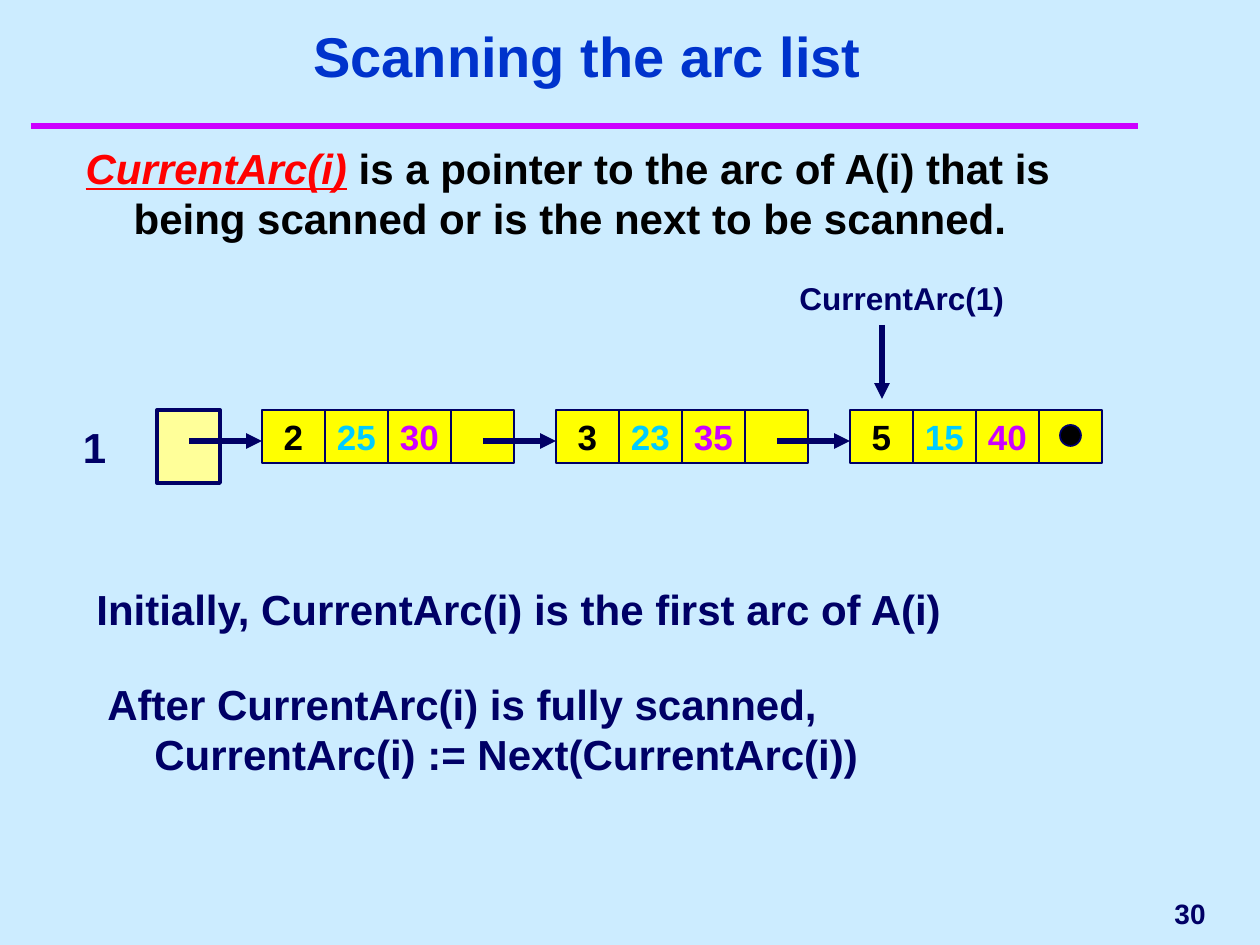
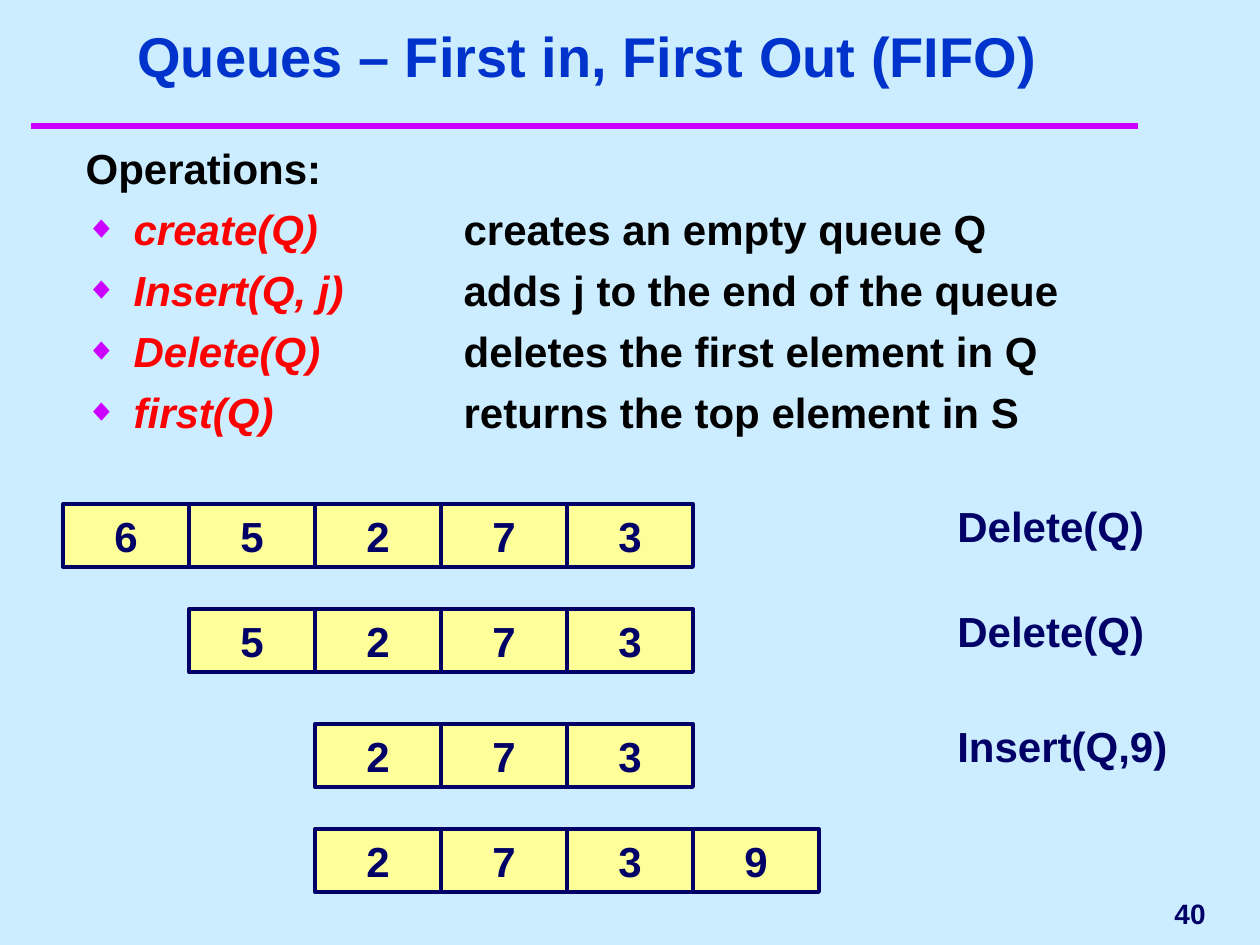
from dataclasses import dataclass

from lxml import etree
from pptx import Presentation
from pptx.dml.color import RGBColor
from pptx.enum.shapes import MSO_CONNECTOR, MSO_SHAPE
from pptx.enum.text import MSO_ANCHOR, MSO_AUTO_SIZE, PP_ALIGN
from pptx.oxml.ns import qn
from pptx.util import Emu, Pt

LEFT, CENTER, RIGHT = PP_ALIGN.LEFT, PP_ALIGN.CENTER, PP_ALIGN.RIGHT
TOP, MIDDLE, BOTTOM = MSO_ANCHOR.TOP, MSO_ANCHOR.MIDDLE, MSO_ANCHOR.BOTTOM
RECTANGLE, OVAL = MSO_SHAPE.RECTANGLE, MSO_SHAPE.OVAL
STRAIGHT, NO_AUTOFIT = MSO_CONNECTOR.STRAIGHT, MSO_AUTO_SIZE.NONE


@dataclass(frozen=True)
class Theme:
    font: str = "Arial"
    background: str = "CCECFF"
    title: str = "0033CC"
    accent: str = "CC00FF"
    ink: str = "000066"
    black: str = "000000"
    keyword: str = "FF0000"
    capacity: str = "00CCFF"
    node: str = "FFFF00"
    cell: str = "FFFF99"
    title_size: int = 32
    text_size: int = 24
    node_size: int = 20
    label_size: int = 18
    number_size: int = 16


THEME = Theme()
EMU_PER_PX = 914400 / 126
HANGING = 48
DESCRIPTION_TAB = 378

ARC_SLIDE = {
    "title": "Scanning the arc list",
    "number": "30",
    "keyword": "CurrentArc(i)",
    "definition": " is a pointer to the arc of A(i) that is being scanned or is the next to be scanned.",
    "node": "1",
    "arcs": [("2", "25", "30"), ("3", "23", "35"), ("5", "15", "40")],
    "pointer": "CurrentArc(1)",
    "start": "Initially, CurrentArc(i) is the first arc of A(i)",
    "advance": ["After CurrentArc(i) is fully scanned,", "CurrentArc(i) := Next(CurrentArc(i))"],
}
QUEUE_SLIDE = {
    "title": "Queues – First in, First Out (FIFO)",
    "number": "40",
    "heading": "Operations:",
    "operations": [
        ("create(Q)", "creates an empty queue Q"),
        ("Insert(Q, j)", "adds j to the end of the queue"),
        ("Delete(Q)", "deletes the first element in Q"),
        ("first(Q)", "returns the top element in S"),
    ],
    "states": [
        (504, 0, "65273", "Delete(Q)"),
        (609, 1, "5273", "Delete(Q)"),
        (724, 2, "273", "Insert(Q,9)"),
        (829, 2, "2739", None),
    ],
}


def px(value):
    return Emu(round(value * EMU_PER_PX))


def color(value):
    return RGBColor.from_string(value)


def style(paragraph, size, ink, align=LEFT):
    paragraph.alignment = align
    font = paragraph.font
    font.name, font.size, font.bold = THEME.font, Pt(size), True
    font.color.rgb = color(ink)


def add_run(paragraph, text, ink, italic=False, underline=False):
    run = paragraph.add_run()
    run.text = text
    run.font.color.rgb = color(ink)
    run.font.italic, run.font.underline = italic, underline


def set_frame(shape, anchor=TOP, wrap=True):
    frame = shape.text_frame
    frame.auto_size = NO_AUTOFIT
    frame.word_wrap, frame.vertical_anchor = wrap, anchor
    return frame


def place(shape, left, top, width, height):
    shape.left, shape.top, shape.width, shape.height = map(px, (left, top, width, height))


def set_list_format(paragraph, bullet=None, tab=None):
    properties = paragraph._p.get_or_add_pPr()
    properties.set("marL", str(px(HANGING)))
    properties.set("indent", str(-px(HANGING)))

    def add(parent, tag, **attributes):
        return etree.SubElement(parent, qn(tag), attributes)

    if bullet:
        add(add(properties, "a:buClr"), "a:srgbClr", val=THEME.accent)
        add(properties, "a:buSzPct", val="75000")
        add(properties, "a:buFont", typeface=THEME.font)
        add(properties, "a:buChar", char=bullet)
    else:
        add(properties, "a:buNone")
    if tab:
        add(add(properties, "a:tabLst"), "a:tab", pos=str(px(tab)), algn="l")
    paragraph.space_before = Pt(6 if bullet else 0)


def add_text(slide, box, text, size=THEME.text_size, align=LEFT, anchor=TOP, wrap=True):
    shape = slide.shapes.add_textbox(*map(px, box))
    frame = set_frame(shape, anchor, wrap)
    frame.text = text
    for paragraph in frame.paragraphs:
        style(paragraph, size, THEME.ink, align)
    return frame


def add_box(slide, box, fill, line_width, text="", ink=THEME.ink, size=THEME.text_size, kind=RECTANGLE):
    shape = slide.shapes.add_shape(kind, *map(px, box))
    shape.shadow.inherit = False
    shape.fill.solid()
    shape.fill.fore_color.rgb = color(fill)
    shape.line.color.rgb = color(THEME.ink)
    shape.line.width = Pt(line_width)
    if text:
        frame = set_frame(shape, MIDDLE, False)
        frame.text = text
        style(frame.paragraphs[0], size, ink, CENTER)


def add_line(slide, start, end, ink=THEME.ink, width=3, arrow=True):
    connector = slide.shapes.add_connector(STRAIGHT, *map(px, start + end))
    connector.line.color.rgb = color(ink)
    connector.line.width = Pt(width)
    if arrow:
        etree.SubElement(connector.line._get_or_add_ln(), qn("a:tailEnd"), type="triangle")
    etree.SubElement(connector._element.spPr, qn("a:effectLst"))


def start_slide(presentation, content, body_height):
    slide = presentation.slides.add_slide(presentation.slide_layouts[1])
    title, body = slide.placeholders
    place(title, 52, 42, 1071, 53)
    frame = set_frame(title, BOTTOM)
    frame.text = content["title"]
    style(frame.paragraphs[0], THEME.title_size, THEME.title, CENTER)
    place(body, 73, 136, 1065, body_height)
    add_line(slide, (31, 126), (1138, 126), THEME.accent, 4, arrow=False)
    add_text(slide, (976, 882, 242, 63), content["number"], THEME.number_size, RIGHT, MIDDLE)
    return slide, set_frame(body)


def build_arc_slide(presentation):
    content = ARC_SLIDE
    slide, body = start_slide(presentation, content, 168)
    paragraph = body.paragraphs[0]
    set_list_format(paragraph)
    style(paragraph, THEME.text_size, THEME.black)
    add_run(paragraph, content["keyword"], THEME.keyword, italic=True, underline=True)
    add_run(paragraph, content["definition"], THEME.black)

    cell, height, top, arrow_y = 63, 53, 410, 441
    first_left, pitch, arrow_length = 262, 294, 73
    inks = (THEME.black, THEME.capacity, THEME.accent)
    add_text(slide, (63, top, cell, 73), content["node"], align=CENTER, anchor=MIDDLE, wrap=False)
    add_box(slide, (157, top, cell, 73), THEME.cell, 2.25)
    lefts = [first_left + pitch * index for index in range(len(content["arcs"]))]
    for left, values in zip(lefts, content["arcs"]):
        for column, (value, ink) in enumerate(zip(values + ("",), inks + (THEME.ink,))):
            box = (left + cell * column, top, cell, height)
            add_box(slide, box, THEME.node, 1, value, ink, THEME.node_size)
    for left in lefts:
        add_line(slide, (left - arrow_length, arrow_y), (left, arrow_y))
    last = lefts[-1]
    add_box(slide, (last + 3 * cell + 21, 425, 21, 21), THEME.black, 1, kind=OVAL)
    add_text(slide, (787, 273, 252, 50), content["pointer"], THEME.label_size)
    add_line(slide, (last + 32, 325), (last + 32, 399))

    add_text(slide, (84, 577, 1040, 63), content["start"])
    advance = add_text(slide, (95, 672, 1040, 113), "\n".join(content["advance"]))
    advance.paragraphs[1]._p.get_or_add_pPr().set("marL", str(px(47)))


def build_queue_slide(presentation):
    content = QUEUE_SLIDE
    slide, body = start_slide(presentation, content, 378)
    body.text = content["heading"]
    set_list_format(body.paragraphs[0])
    style(body.paragraphs[0], THEME.text_size, THEME.black)
    for operation, description in content["operations"]:
        paragraph = body.add_paragraph()
        set_list_format(paragraph, "◆", DESCRIPTION_TAB)
        style(paragraph, THEME.text_size, THEME.black)
        add_run(paragraph, operation + "\t", THEME.keyword, italic=True)
        add_run(paragraph, description, THEME.black)

    cell, height, left = 126, 63, 63
    for top, first_slot, elements, operation in content["states"]:
        for slot, element in enumerate(elements, first_slot):
            add_box(slide, (left + cell * slot, top, cell, height), THEME.cell, 2.25, element)
        if operation:
            add_text(slide, (945, top - 10, 262, height), operation)


def main():
    presentation = Presentation()
    presentation.slide_width, presentation.slide_height = px(1260), px(945)
    background = presentation.slide_master.background.fill
    background.solid()
    background.fore_color.rgb = color(THEME.background)
    build_arc_slide(presentation)
    build_queue_slide(presentation)
    presentation.save("out.pptx")


if __name__ == "__main__":
    main()
